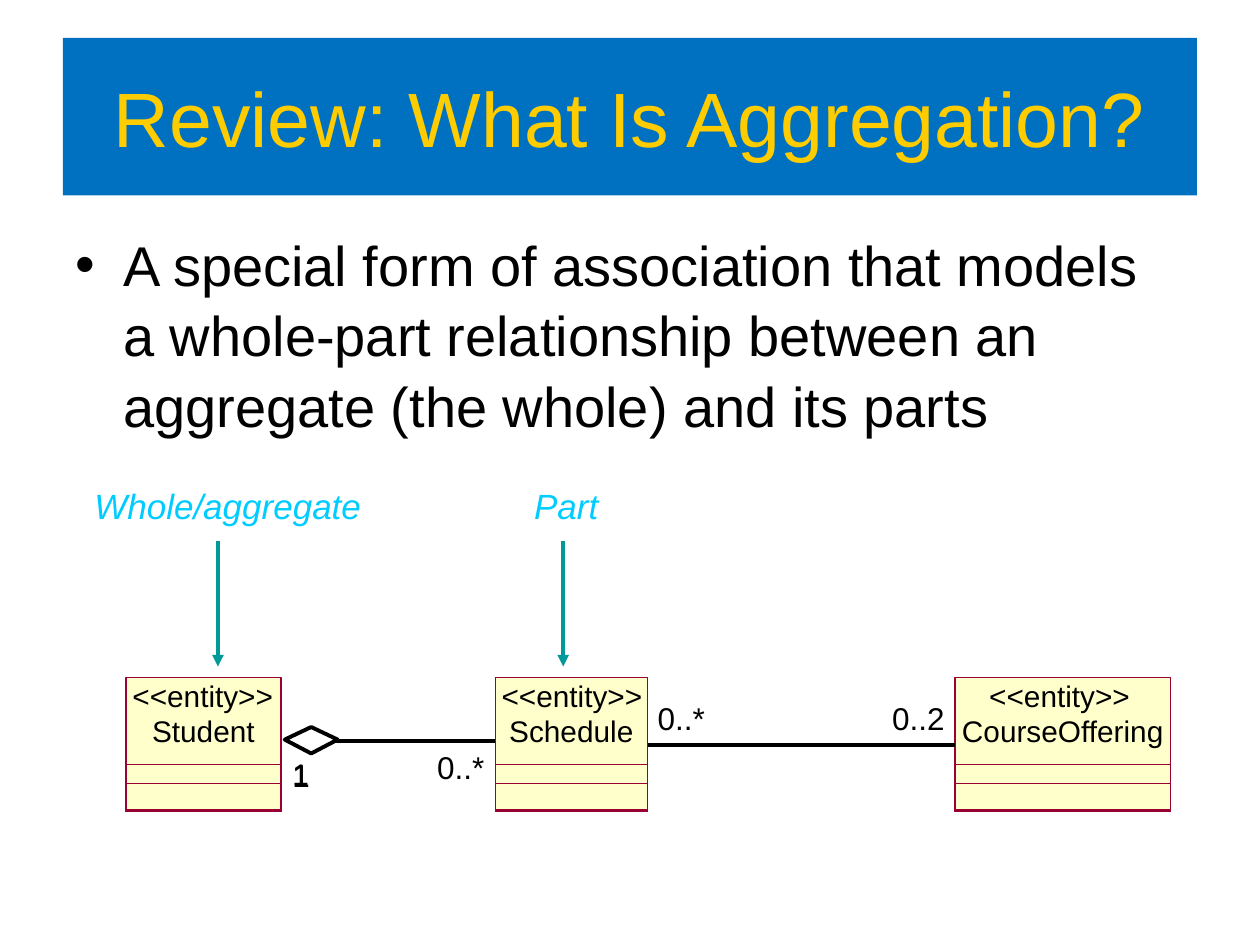
"""Build a slide that reviews aggregation with a small class diagram."""
from lxml.etree import SubElement
from pptx import Presentation
from pptx.dml.color import RGBColor
from pptx.enum.shapes import MSO_CONNECTOR, MSO_SHAPE
from pptx.enum.text import MSO_ANCHOR, PP_ALIGN
from pptx.oxml.ns import qn
from pptx.util import Inches, Pt

color = RGBColor.from_string
deck = Presentation()
deck.slide_width, deck.slide_height = Inches(10), Inches(7.5)
slide = deck.slides.add_slide(deck.slide_layouts[6])
shapes = slide.shapes


def write(shape, text, size, hue="000000", align=PP_ALIGN.LEFT, pad=0, wrap=False):
    """Put one styled run in a shape and return its paragraph."""
    frame = shape.text_frame
    frame.word_wrap = wrap
    frame.margin_left = frame.margin_right = Inches(pad)
    frame.margin_top = frame.margin_bottom = Inches(pad / 2)
    para = frame.paragraphs[0]
    para.alignment = align
    run = para.add_run()
    run.text = text
    run.font.name, run.font.size = "Arial", Pt(size)
    run.font.color.rgb = color(hue)
    return para


def link(x1, y1, x2, y2, hue="000000"):
    """Draw a plain straight line."""
    line = shapes.add_connector(
        MSO_CONNECTOR.STRAIGHT, Inches(x1), Inches(y1), Inches(x2), Inches(y2))
    line.line.color.rgb = color(hue)
    line.line.width = Pt(2.25)
    SubElement(line._element.spPr, qn("a:effectLst"))
    return line


title = shapes.add_shape(
    MSO_SHAPE.RECTANGLE, Inches(0.5), Inches(0.3), Inches(9), Inches(1.25))
title.shadow.inherit = False
title.fill.solid()
title.fill.fore_color.rgb = color("0070C0")
title.line.fill.background()
title.text_frame.vertical_anchor = MSO_ANCHOR.MIDDLE
write(title, "Review: What Is Aggregation?", 44, "FFCC00", PP_ALIGN.CENTER, 0.1, True)

body = shapes.add_textbox(Inches(0.5), Inches(1.75), Inches(9), Inches(4.95))
para = write(body, "A special form of association that models a whole-part "
             "relationship between an aggregate (the whole) and its parts",
             32, pad=0.1, wrap=True)
para.line_spacing = 1.05
props = para._p.get_or_add_pPr()
props.set("marL", str(Inches(0.38)))
props.set("indent", str(Inches(-0.38)))
SubElement(props, qn("a:buFont")).set("typeface", "Arial")
SubElement(props, qn("a:buChar")).set("char", "•")

for text, left, width, mid in [("Whole/aggregate", 0.65, 2.36, 1.73),
                               ("Part", 4.14, 0.89, 4.47)]:
    label = shapes.add_textbox(Inches(left), Inches(3.8), Inches(width), Inches(0.44))
    para = write(label, text, 20, "00CCFF", pad=0.1, wrap=True)
    para.runs[0].font.italic = True
    arrow = link(mid, 4.29, mid, 5.29, "009999")
    SubElement(arrow.line._get_or_add_ln(), qn("a:tailEnd")).set("type", "triangle")

link(4.1, 5.88, 2.64, 5.88)

boxes = {}
for name, left, width, mid in [("CourseOffering", 7.58, 1.71, 8.41),
                               ("Schedule", 3.93, 1.21, 4.54),
                               ("Student", 1, 1.23, 1.61)]:
    for top, high in [(5.38, 1.06), (6.07, 0.36), (6.22, 0.22)]:
        part = shapes.add_shape(
            MSO_SHAPE.RECTANGLE, Inches(left), Inches(top), Inches(width), Inches(high))
        part.shadow.inherit = False
        part.line.color.rgb = color("990033")
        part.line.width = Pt(0)
        if name in boxes:
            part.fill.background()
        else:
            part.fill.solid()
            part.fill.fore_color.rgb = color("FFFFCC")
            boxes[name] = part
    for text, center, wide, top in [("<<entity>>", mid, 1.12, 5.38),
                                    (name, left + width / 2, width - 0.1, 5.66)]:
        label = shapes.add_textbox(
            Inches(center - wide / 2), Inches(top), Inches(wide), Inches(0.28))
        write(label, text, 17, align=PP_ALIGN.CENTER)

tie = link(5.14, 5.91, 7.58, 5.91)
tie.begin_connect(boxes["Schedule"], 3)
tie.end_connect(boxes["CourseOffering"], 1)

for text, left, top, width, size in [("0..2", 7.08, 5.55, 0.42, 18),
                                     ("0..*", 5.22, 5.55, 0.38, 18),
                                     ("1", 2.32, 6, 0.13, 17),
                                     ("0..*", 3.47, 5.94, 0.38, 18),
                                     ("1", 2.32, 6, 0.14, 18)]:
    label = shapes.add_textbox(Inches(left), Inches(top), Inches(width), Inches(0.3))
    write(label, text, size)

pen = shapes.build_freeform(Inches(2.26), Inches(5.87))
pen.add_line_segments([(Inches(x), Inches(y)) for x, y in
                       [(2.47, 5.98), (2.68, 5.87), (2.47, 5.77)]], close=True)
gem = pen.convert_to_shape()
gem.shadow.inherit = False
gem.fill.background()
gem.line.color.rgb = color("000000")
gem.line.width = Pt(2.25)

deck.save("out.pptx")
